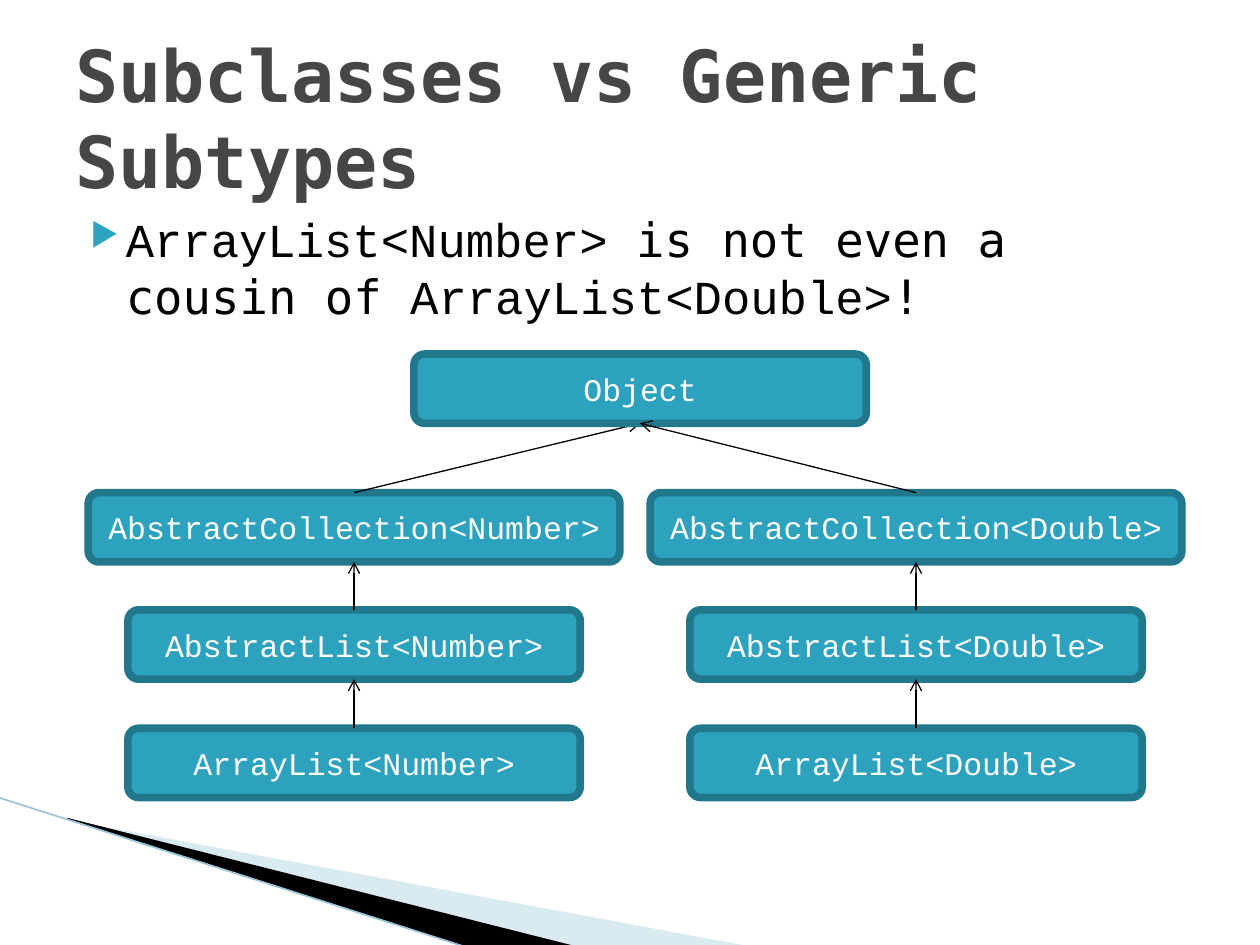
from lxml.etree import SubElement
from pptx import Presentation
from pptx.dml.color import RGBColor
from pptx.enum.shapes import MSO_CONNECTOR, MSO_SHAPE
from pptx.enum.text import MSO_ANCHOR, PP_ALIGN
from pptx.oxml import parse_xml
from pptx.oxml.ns import nsdecls, qn
from pptx.util import Inches, Pt

# Content
TITLE = "Subclasses vs Generic Subtypes"
CODE, PROSE = "Courier New", "DejaVu Sans Mono"
STATEMENT = [
    ("ArrayList<Number> ", CODE),
    ("is not even a cousin of ", PROSE),
    ("ArrayList<Double>", CODE),
    ("!", PROSE),
]
ROOT = "Object"
# Each chain runs from its top class down: (class, width, top)
LEVELS = [
    ("AbstractCollection", 4.22, 3.91),
    ("AbstractList", 3.59, 4.84),
    ("ArrayList", 3.59, 5.78),
]
CHAINS = [("Number", 2.81), ("Double", 7.27)]  # type argument, centre
ROOT_CENTRE, ROOT_WIDTH, ROOT_TOP = 5.08, 3.59, 2.81
BOX_HEIGHT = 0.55

COLORS = {
    "title": "464646",
    "text": "000000",
    "box": "2DA2BF",
    "border": "21788D",
    "label": "FFFFFF",
    "pale": "A0CBDC",
    "edge": "97C5D8",
}
# Corner decoration: (points, colour, opacity in percent)
WEDGES = [
    ([(0.55, 6.51), (5.95, 7.51), (4.56, 7.51), (0.55, 6.5)], "pale", 40),
    ([(0.53, 6.49), (4.57, 7.51), (3.72, 7.52), (0.54, 6.5)], "text", 100),
]


def rgb(name):
    return RGBColor.from_string(COLORS[name])


def style(font, size, color, name=None, bold=False):
    font.size, font.bold, font.color.rgb = Pt(size), bold, rgb(color)
    if name:
        font.name = name


def add_line(start, end, color, width):
    line = shapes.add_connector(
        MSO_CONNECTOR.STRAIGHT, *(Inches(v) for v in start + end))
    line.line.color.rgb, line.line.width = rgb(color), Pt(width)
    SubElement(line._element.spPr, qn("a:effectLst"))
    return line


def add_class(label, centre, top, width):
    box = shapes.add_shape(
        MSO_SHAPE.ROUNDED_RECTANGLE, Inches(centre - width / 2), Inches(top),
        Inches(width), Inches(BOX_HEIGHT))
    box.adjustments[0] = 0.156
    box.shadow.inherit = False
    box.fill.solid()
    box.fill.fore_color.rgb = rgb("box")
    box.line.color.rgb, box.line.width = rgb("border"), Pt(4.33)
    box.text_frame.vertical_anchor = MSO_ANCHOR.MIDDLE
    para = box.text_frame.paragraphs[0]
    para.text, para.alignment = label, PP_ALIGN.CENTER
    style(para.font, 18, "label", CODE)
    return box


def add_extends(child, parent):
    arrow = add_line((0, 0), (1, 1), "text", 0.75)
    arrow.begin_connect(child, 0)
    arrow.end_connect(parent, 2)
    SubElement(arrow.line._get_or_add_ln(), qn("a:tailEnd"), type="arrow")


def add_text(top, height):
    box = shapes.add_textbox(Inches(0.5), Inches(top), Inches(9), Inches(height))
    box.text_frame.word_wrap = True
    return box.text_frame


prs = Presentation()
prs.slide_width, prs.slide_height = Inches(10), Inches(7.5)
slide = prs.slides.add_slide(prs.slide_layouts[6])
shapes = slide.shapes

# Corner decoration
for points, color, opacity in WEDGES:
    builder = shapes.build_freeform(
        Inches(points[0][0]), Inches(points[0][1]), scale=1.0)
    builder.add_line_segments([(Inches(x), Inches(y)) for x, y in points[1:]])
    wedge = builder.convert_to_shape()
    wedge.shadow.inherit = False
    wedge.fill.solid()
    wedge.fill.fore_color.rgb = rgb(color)
    wedge.line.fill.background()
    if opacity < 100:
        tint = wedge._element.spPr.find(qn("a:solidFill"))[0]
        SubElement(tint, qn("a:alpha"), val=str(opacity * 1000))
add_line((-0.01, 6.33), (3.71, 7.52), "edge", 0.95)

# Statement with its triangle bullet
statement = add_text(1.62, 4.95).paragraphs[0]
props = statement._p.get_or_add_pPr()
props.set("marL", str(Inches(0.4)))
props.set("indent", str(Inches(-0.28)))
for bullet in (
    f'<a:buClr {nsdecls("a")}><a:srgbClr val="{COLORS["box"]}"/></a:buClr>',
    f'<a:buSzPct {nsdecls("a")} val="68000"/>',
    f'<a:buChar {nsdecls("a")} char="▶"/>',
):
    props.append(parse_xml(bullet))
style(statement.font, 27, "text")
for words, typeface in STATEMENT:
    run = statement.add_run()
    run.text, run.font.name = words, typeface

# Title
heading = add_text(0.3, 1.25)
heading.vertical_anchor = MSO_ANCHOR.MIDDLE
heading.paragraphs[0].text = TITLE
style(heading.paragraphs[0].font, 41, "title", PROSE, bold=True)

# Class hierarchy: the root is raised over the arrow of the first chain
root = add_class(ROOT, ROOT_CENTRE, ROOT_TOP, ROOT_WIDTH)
for number, (argument, centre) in enumerate(CHAINS):
    chain = [add_class(f"{name}<{argument}>", centre, top, width)
             for name, width, top in LEVELS]
    for parent, child in zip([root] + chain, chain):
        add_extends(child, parent)
    if number == 0:
        shapes._spTree.append(root._element)

prs.save("out.pptx")
